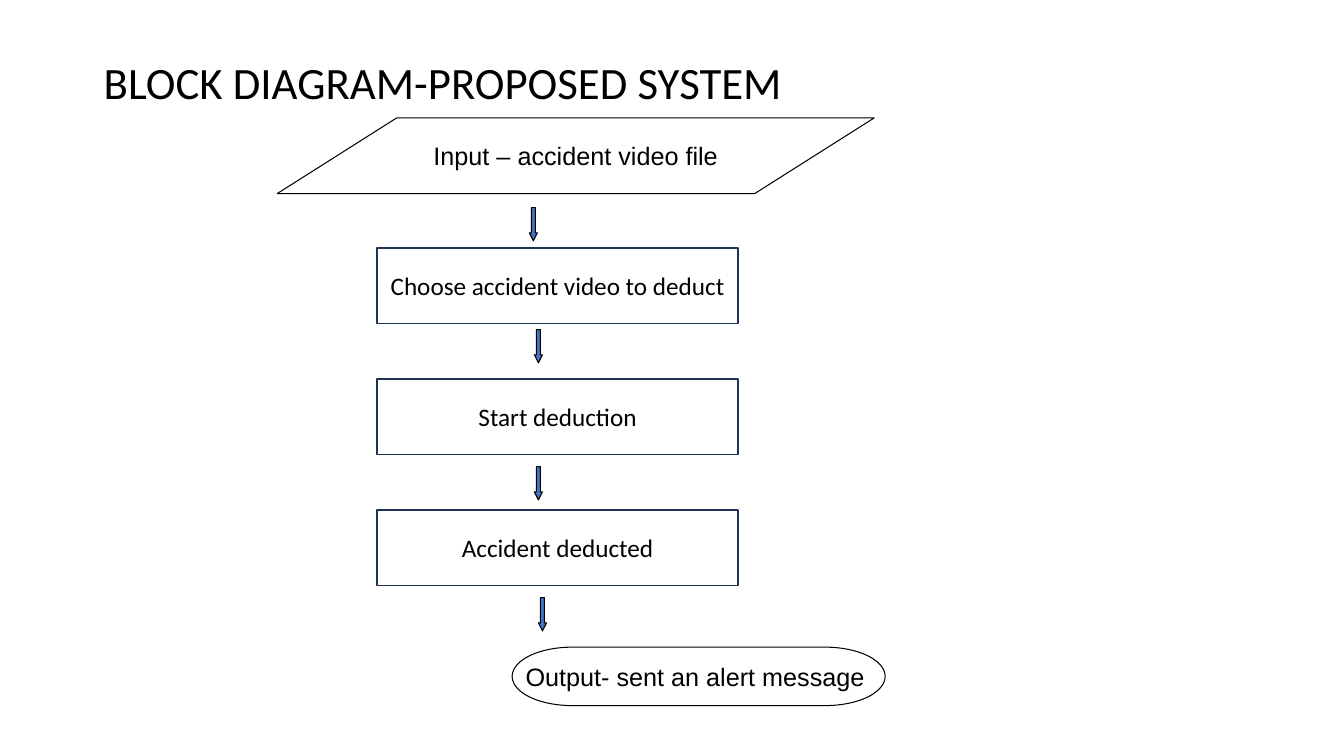
"""Build the block diagram slide of the proposed accident alert system."""
from dataclasses import dataclass

from pptx import Presentation
from pptx import util as u
from pptx.dml.color import RGBColor
from pptx.enum import shapes, text
from pptx.slide import Slide
from pptx.text.text import TextFrame

BLACK, WHITE, NAVY, BLUE = "000000", "FFFFFF", "1E3256", "4472C4"
KIND = shapes.MSO_SHAPE


@dataclass
class Block:
    kind: KIND
    left: float
    top: float
    width: float
    height: float
    label: str = ""
    font: str = "Calibri"
    fill: str = WHITE
    line: str = BLACK
    weight: float = 0.75
    wrap: bool = True


def color(value: str) -> RGBColor:
    return RGBColor.from_string(value)


def apply_format(target: object, values: dict) -> None:
    for name, value in values.items():
        setattr(target, name, value)


def write_text(frame: TextFrame, label: str, font: str, size: float) -> None:
    paragraph = frame.paragraphs[0]
    run = paragraph.add_run()
    run.text = label
    apply_format(run.font, {"name": font, "size": u.Pt(size)})
    run.font.color.rgb = color(BLACK)


def draw_title(slide: Slide, label: str) -> None:
    box = slide.shapes.add_textbox(
        u.Inches(0.93), u.Inches(0.49), u.Inches(7.62), u.Inches(0.64))
    apply_format(box.text_frame, {
        "word_wrap": True, "auto_size": text.MSO_AUTO_SIZE.SHAPE_TO_FIT_TEXT})
    write_text(box.text_frame, label, "Calibri", 32)


def draw_block(slide: Slide, block: Block) -> None:
    frame = [u.Inches(n) for n in (block.left, block.top, block.width, block.height)]
    shape = slide.shapes.add_shape(block.kind, *frame)
    shape.shadow.inherit = False
    shape.fill.solid()
    shape.fill.fore_color.rgb = color(block.fill)
    shape.line.color.rgb = color(block.line)
    shape.line.width = u.Pt(block.weight)
    if block.kind == KIND.DOWN_ARROW:
        shape.adjustments[0], shape.adjustments[1] = 0.5, 1
    if block.label:
        apply_format(shape.text_frame, {
            "word_wrap": block.wrap, "vertical_anchor": text.MSO_ANCHOR.MIDDLE})
        shape.text_frame.paragraphs[0].alignment = text.PP_ALIGN.CENTER
        write_text(shape.text_frame, block.label, block.font, 18)


def main() -> None:
    presentation = Presentation()
    apply_format(presentation, {
        "slide_width": u.Inches(13.33), "slide_height": u.Inches(7.5)})
    slide = presentation.slides.add_slide(presentation.slide_layouts[6])
    draw_title(slide, "BLOCK DIAGRAM-PROPOSED SYSTEM")

    terminals = [
        Block(KIND.FLOWCHART_DATA, 2.75, 1.17, 5.92, 0.75,
              "Input – accident video file", "Arial", wrap=False),
        Block(KIND.FLOWCHART_TERMINATOR, 5.08, 6.42, 3.7, 0.58,
              "Output- sent an alert message ", "Arial", wrap=False),
    ]
    step_labels = ["Choose accident video to deduct", "Start deduction", "Accident deducted"]
    steps = [
        Block(KIND.RECTANGLE, 3.74, 2.46 + 1.3 * row, 3.58, 0.75, label, line=NAVY, weight=1)
        for row, label in enumerate(step_labels)
    ]
    arrow_places = [(5.25, 2.06), (5.3, 3.27), (5.3, 4.63), (5.34, 5.93)]
    arrows = [
        Block(KIND.DOWN_ARROW, left, top, 0.08, 0.33, fill=BLUE)
        for left, top in arrow_places
    ]
    for block in terminals + steps + arrows:
        draw_block(slide, block)
    presentation.save("out.pptx")


if __name__ == "__main__":
    main()
